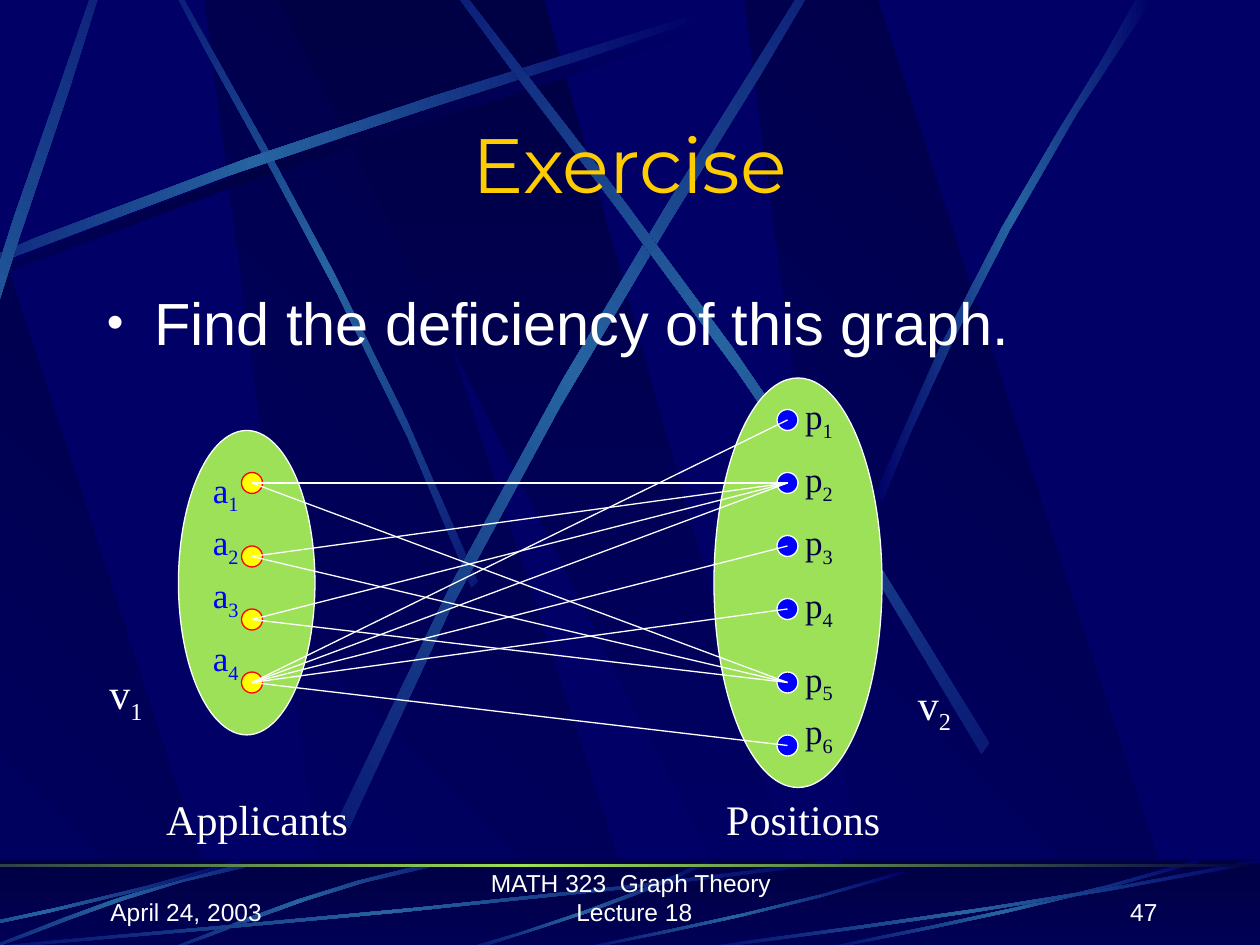
"""Build the graph deficiency exercise slide."""
from lxml import etree
from pptx import Presentation
from pptx.dml.color import RGBColor
from pptx.enum.shapes import MSO_CONNECTOR, MSO_SHAPE
from pptx.enum.text import MSO_ANCHOR, PP_ALIGN
from pptx.oxml.ns import qn
from pptx.util import Pt

OVAL, RECT, LINE = MSO_SHAPE.OVAL, MSO_SHAPE.RECTANGLE, MSO_CONNECTOR.STRAIGHT
LEFT, CENTER, RIGHT = PP_ALIGN.LEFT, PP_ALIGN.CENTER, PP_ALIGN.RIGHT
TOP, MIDDLE, BOTTOM = MSO_ANCHOR.TOP, MSO_ANCHOR.MIDDLE, MSO_ANCHOR.BOTTOM

THEME = {
    "navy": "000066", "dark": "000044", "floor": "000055", "steel": "2663A0",
    "green": "9CE157", "white": "FFFFFF", "gold": "FFCC00", "yellow": "FFFF00",
    "red": "FF0000", "blue": "0000FF",
    "title": 44, "body": 34, "caption": 24, "label": 20, "footer": 14, "line": 0.75,
    "sans": "Arial", "serif": "Times New Roman", "display": "Montserrat",
}


def bezier(a, b, c, d, steps=5):
    """Return evenly sampled points of a cubic curve."""
    points = []
    for i in range(steps + 1):
        t = i / steps
        u = 1 - t
        points.append(tuple(
            u**3 * a[k] + 3 * u * u * t * b[k] + 3 * u * t * t * c[k] + t**3 * d[k]
            for k in (0, 1)))
    return points


def format_text(sp, text, size, font, color, align=CENTER, anchor=TOP, sub=""):
    """Write one paragraph, with an optional subscript, into a shape."""
    tf = sp.text_frame
    tf.word_wrap = True
    tf.vertical_anchor = anchor
    p = tf.paragraphs[0]
    p.alignment = align
    for part in filter(None, (text, sub)):
        r = p.add_run()
        r.text = part
        r.font.size = Pt(THEME[size])
        r.font.name = THEME[font]
        r.font.color.rgb = RGBColor.from_string(THEME[color])
    if sub:
        r.font._element.set("baseline", "-25000")
    return p


prs = Presentation()
prs.slide_width, prs.slide_height = Pt(720), Pt(540)
s = prs.slides.add_slide(prs.slide_layouts[5])
s.background.fill.solid()
s.background.fill.fore_color.rgb = RGBColor.from_string(THEME["navy"])

BEAM = [(0.28, 1), (1, 1), (0.3, 0), (0, 0)]
SLANT = [(0, 0), (0.9, 1), (1, 1), (0.5, 0)]
RIBBON = (bezier((0, 0.96), (0.43, 0.43), (0.83, 0.15), (1, 0))
          + bezier((1, 0.02), (0.83, 0.19), (0.38, 0.5), (0, 1)))
STEEP = (bezier((0, 0.99), (0.4, 0.44), (0.79, 0.17), (0.94, 0))
         + bezier((1, 0), (0.52, 0.37), (0.16, 0.81), (0.03, 1)))
GLOW, SHADE = ("navy", "steel", "navy"), ("navy", "dark", "navy")

backdrop = [(BEAM, (x, 0, 253.5, 543.5), 0, "", ("navy", "dark"), 315)
            for x in (117, -121.5, 425.5)]
backdrop += [
    (SLANT, (159, 0, 304, 543), 0, "", ("dark", "navy"), 90),
    (RIBBON, (-104.5, 12, 512, 193), 0, "", SHADE, 0),
    (RIBBON, (-3, 96.5, 371.5, 126.5), 45, "x", GLOW, 0),
    (RIBBON, (-109.5, 6.5, 512, 193), 0, "", GLOW, 0),
    (RIBBON, (-229, 115, 440, 224), 312, "", GLOW, 0),
    (RIBBON, (72.5, 115, 525, 217.5), 321, "", GLOW, 0),
    (RIBBON, (150.5, 108.5, 512, 193), 35, "x", GLOW, 0),
    (STEEP, (499.5, 0, 159, 286.5), 0, "", GLOW, 0),
    (None, (0, 491, 720, 49), 0, "", ("dark", "floor"), 90),
    (STEEP, (255.5, 492.5, 151, 52.5), 0, "xy", GLOW, 0),
]
backdrop += [(RIBBON, (x, 483, 133, 70), 315, "x", GLOW, 0) for x in (106.5, 1.5)]
backdrop += [(RIBBON, (x, y, w, 545 - y), 0, "xy", GLOW, 0) for x, y, w in (
    (-37.5, 491, 518.5), (-86.5, 491, 224), (322, 497.5, 194.5),
    (461, 491, 224), (384, 491, 336))]
backdrop += [(None, (-121.5, 494, 841.5, 1.5), 0, "", ("dark", "green", "dark"), 0)]

for outline, (x, y, w, h), rotation, flip, colors, angle in backdrop:
    if outline:
        points = [(Pt(x + w * (1 - u if "x" in flip else u)),
                   Pt(y + h * (1 - v if "y" in flip else v))) for u, v in outline]
        builder = s.shapes.build_freeform(*points[0], scale=1.0)
        builder.add_line_segments(points[1:], close=True)
        sp = builder.convert_to_shape()
    else:
        sp = s.shapes.add_shape(RECT, Pt(x), Pt(y), Pt(w), Pt(h))
    sp.rotation = rotation
    sp.shadow.inherit = False
    sp.line.fill.background()
    sp.fill.gradient()
    grad = sp._element.spPr.find(qn("a:gradFill"))
    grad.find(qn("a:lin")).set("ang", str(angle * 60000))
    stops = grad.find(qn("a:gsLst"))
    for stop in list(stops):
        stops.remove(stop)
    for i, color in enumerate(colors):
        stop = etree.SubElement(stops, qn("a:gs"), pos=str(100000 * i // (len(colors) - 1)))
        etree.SubElement(stop, qn("a:srgbClr"), val=THEME[color])

title = s.shapes.title
s.shapes._spTree.append(title._element)
title.left, title.top, title.width, title.height = Pt(54), Pt(63), Pt(612), Pt(60)
format_text(title, "Exercise", "title", "display", "gold", anchor=MIDDLE)

sp = s.shapes.add_textbox(Pt(54), Pt(160), Pt(612), Pt(48))
p = format_text(sp, "Find the deficiency of this graph.", "body", "sans", "white", LEFT)
pPr = p._p.get_or_add_pPr()
pPr.set("marL", str(Pt(27)))
pPr.set("indent", str(Pt(-27)))
clr = etree.SubElement(pPr, qn("a:buClr"))
etree.SubElement(clr, qn("a:srgbClr"), val=THEME["white"])
etree.SubElement(pPr, qn("a:buSzPct"), val="80000")
etree.SubElement(pPr, qn("a:buFont"), typeface=THEME["sans"])
etree.SubElement(pPr, qn("a:buChar"), char="•")

DOT, APPLICANT_X, POSITION_X = 12, 138, 444
applicant_tops = (270, 312, 348, 384)
position_tops = (234, 270, 306, 342, 384, 420)
ovals = [(102, 246, 78, 174, "green", "white"), (408, 216, 96, 234, "green", "white")]
ovals += [(APPLICANT_X, y, DOT, DOT, "yellow", "red") for y in applicant_tops]
ovals += [(POSITION_X, y, DOT, DOT, "blue", "white") for y in position_tops]
for x, y, w, h, fill, line in ovals:
    sp = s.shapes.add_shape(OVAL, Pt(x), Pt(y), Pt(w), Pt(h))
    sp.shadow.inherit = False
    sp.fill.solid()
    sp.fill.fore_color.rgb = RGBColor.from_string(THEME[fill])
    sp.line.color.rgb = RGBColor.from_string(THEME[line])
    sp.line.width = Pt(THEME["line"])

edges = {1: (2, 5), 2: (2, 5), 3: (2, 5), 4: (1, 2, 3, 4, 6)}
for applicant, positions in edges.items():
    for position in positions:
        cxn = s.shapes.add_connector(
            LINE, Pt(APPLICANT_X + DOT / 2), Pt(applicant_tops[applicant - 1] + DOT / 2),
            Pt(POSITION_X + DOT / 2), Pt(position_tops[position - 1] + DOT / 2))
        cxn.line.color.rgb = RGBColor.from_string(THEME["white"])
        cxn.line.width = Pt(THEME["line"])
        etree.SubElement(cxn._element.spPr, qn("a:effectLst"))

labels = [(48, 378, 48, 40, "v", "1", "caption", "white"),
          (510, 384, 48, 40, "v", "2", "caption", "white"),
          (72, 450, 150, 36, "Applicants", "", "caption", "white"),
          (384, 450, 150, 36, "Positions", "", "caption", "white")]
labels += [(108, y, 42, 34.5, "a", str(i), "label", "blue")
           for i, y in enumerate((264, 294, 324, 360), 1)]
labels += [(444, y, 48, 34.5, "p", str(i), "label", "dark")
           for i, y in enumerate((222, 258, 294, 330, 372, 402), 1)]
for x, y, w, h, text, sub, size, color in labels:
    sp = s.shapes.add_textbox(Pt(x), Pt(y), Pt(w), Pt(h))
    format_text(sp, text, size, "serif", color, sub=sub)

for x, w, text, align in ((56, 150, "April 24, 2003", LEFT),
                          (248.5, 228, "MATH 323  Graph Theory  Lecture 18", CENTER),
                          (518.5, 150, "47", RIGHT)):
    sp = s.shapes.add_textbox(Pt(x), Pt(497), Pt(w), Pt(36))
    format_text(sp, text, "footer", "sans", "white", align, BOTTOM)

prs.save("out.pptx")
